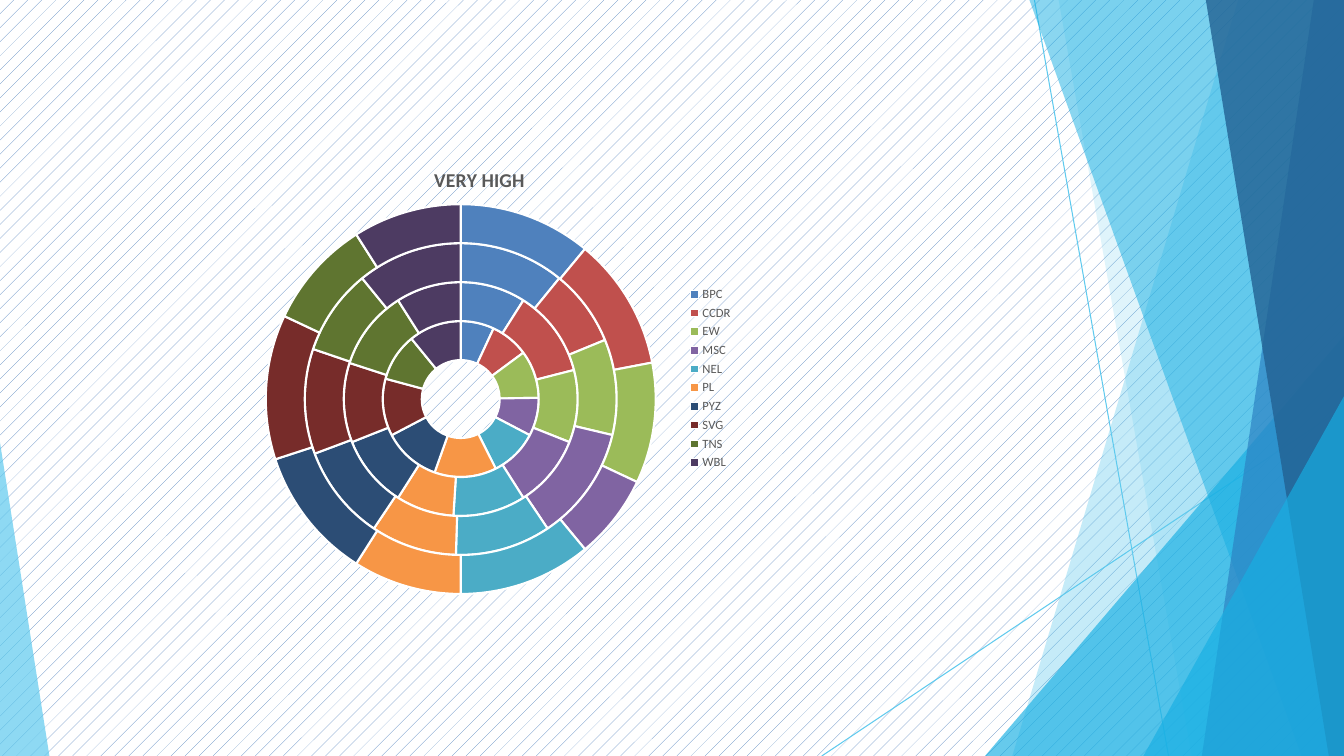
import pptx
import pptx.chart.data
import pptx.dml.color
import pptx.enum.chart
import pptx.enum.dml
import pptx.enum.shapes
import pptx.oxml
import pptx.oxml.ns
import pptx.util

Inches = pptx.util.Inches
WIDTH, HEIGHT = 13.33, 7.5
FONT = "Calibri"
COLORS = {
    "pattern": "4F81BD", "white": "FFFFFF", "text": "595959",
    "sky": "5FCAEE", "cyan": "17AFE3", "blue": "2D83C3", "navy": "226192",
}
# Legend entries and their colours
SECTORS = {
    "BPC": "4F81BD", "CCDR": "C0504D", "EW": "9BBB59", "MSC": "8064A2",
    "NEL": "4BACC6", "PL": "F79646", "PYZ": "2C4D75", "SVG": "772C2A",
    "TNS": "5F7530", "WBL": "4D3B62",
}
# Rings from the inside out
RINGS = [
    (7, 8, 10, 8, 10, 13, 12, 12, 10, 11),
    (9, 12, 10, 10, 10, 8, 10, 11, 11, 9),
    (11, 8, 10, 12, 10, 9, 10, 11, 9, 11),
    (11, 11, 10, 7, 11, 9, 11, 12, 9, 9),
]
# Right-hand facets: top x (or None), start y, bottom x, colour, opacity in percent
FACETS = [
    (12.28, 0, 10.04, "sky", 36),
    (10.5, 0, 11.82, "sky", 20),
    (None, 3.33, 9.77, "cyan", 66),
    (10.21, 0, 12.91, "cyan", 50),
    (13.03, 0, 11.92, "blue", 70),
    (11.96, 0, 13.18, "navy", 80),
    (None, 3.93, 11.34, "cyan", 66),
]


def rgb(value):
    return pptx.dml.color.RGBColor.from_string(value)


class SlideBuilder:
    def __init__(self, slide):
        self.slide = slide
        self.shapes = slide.shapes

    def background(self):
        fill = self.slide.background.fill
        fill.patterned()
        fill.pattern = pptx.enum.dml.MSO_PATTERN.PERCENT_5
        fill.fore_color.rgb = rgb(COLORS["pattern"])
        fill.back_color.rgb = rgb(COLORS["white"])

    def line(self, start, end, color):
        line = self.shapes.add_connector(
            pptx.enum.shapes.MSO_CONNECTOR.STRAIGHT,
            *(Inches(value) for value in start + end))
        line.line.color.rgb = rgb(COLORS[color])
        line.line.width = pptx.util.Pt(0.75)
        pptx.oxml.ns  # namespace helpers live here
        line._element.spPr.append(pptx.oxml.parse_xml(
            f'<a:effectLst {pptx.oxml.ns.nsdecls("a")}/>'))

    def facet(self, points, color, opacity):
        corners = [(Inches(x), Inches(y)) for x, y in points]
        builder = self.shapes.build_freeform(*corners[0])
        builder.add_line_segments(corners[1:], close=True)
        facet = builder.convert_to_shape()
        facet.shadow.inherit = False
        facet.line.fill.background()
        facet.fill.solid()
        facet.fill.fore_color.rgb = rgb(COLORS[color])
        shade = facet._element.spPr.find(".//" + pptx.oxml.ns.qn("a:srgbClr"))
        shade.append(pptx.oxml.parse_xml(
            f'<a:alpha {pptx.oxml.ns.nsdecls("a")} val="{opacity * 1000}"/>'))

    def layout(self, **settings):
        entries = "".join(f'<c:{name} val="{value}"/>' for name, value in settings.items())
        return pptx.oxml.parse_xml(
            f'<c:layout {pptx.oxml.ns.nsdecls("c")}>'
            f"<c:manualLayout>{entries}</c:manualLayout></c:layout>")

    def style(self, font, size, bold=False):
        font.name = FONT
        font.size = pptx.util.Pt(size)
        font.bold = bold
        font.color.rgb = rgb(COLORS["text"])

    def doughnut(self, left, top, width, height, title):
        qn = pptx.oxml.ns.qn
        data = pptx.chart.data.CategoryChartData()
        data.categories = list(SECTORS)
        for number, values in enumerate(RINGS, 1):
            data.add_series(f"Series {number}", values)
        chart = self.shapes.add_chart(
            pptx.enum.chart.XL_CHART_TYPE.DOUGHNUT,
            Inches(left), Inches(top), Inches(width), Inches(height), data).chart
        self.style(chart.font, 10)

        # Sector colours with white gaps
        plot = chart.plots[0]
        plot.has_data_labels = False
        for series in plot.series:
            for index, color in enumerate(SECTORS.values()):
                sector = series.points[index].format
                sector.fill.solid()
                sector.fill.fore_color.rgb = rgb(color)
                sector.line.color.rgb = rgb(COLORS["white"])
                sector.line.width = pptx.util.Pt(1.5)

        # Legend
        chart.has_legend = True
        chart.legend.position = pptx.enum.chart.XL_LEGEND_POSITION.RIGHT
        chart.legend.include_in_layout = False
        self.style(chart.legend.font, 9)

        # Title
        chart.has_title = True
        para = chart.chart_title.text_frame.paragraphs[0]
        para.text = title
        self.style(para.runs[0].font, 14, bold=True)
        chart_title = chart._chartSpace.find(".//" + qn("c:title"))
        for old in chart_title.findall(qn("c:layout")):
            chart_title.remove(old)
        chart_title.find(qn("c:tx")).addnext(
            self.layout(xMode="edge", yMode="edge", x=0.38, y=0.03))

        # Plot position and hole
        area = chart._chartSpace.find(".//" + qn("c:plotArea"))
        for old in area.findall(qn("c:layout")):
            area.remove(old)
        area.insert(0, self.layout(layoutTarget="inner", xMode="edge", yMode="edge",
                                   x=0.05, y=0.12, w=0.78, h=0.85))
        area.find(".//" + qn("c:holeSize")).set("val", "75")


def main():
    deck = pptx.Presentation()
    deck.slide_width, deck.slide_height = Inches(WIDTH), Inches(HEIGHT)
    page = SlideBuilder(deck.slides.add_slide(deck.slide_layouts[6]))
    page.background()

    # Thin lines
    page.line((10.26, 0), (11.59, HEIGHT), "sky")
    page.line((WIDTH, 4.04), (8.15, HEIGHT), "sky")

    # Facets on the right, then the one on the left
    for top_x, start_y, bottom_x, color, opacity in FACETS:
        points = [(WIDTH, start_y), (bottom_x, HEIGHT), (WIDTH, HEIGHT)]
        if top_x is not None:
            points.insert(1, (top_x, start_y))
        page.facet(points, color, opacity)
    page.facet([(0, 4.39), (0, HEIGHT), (0.49, HEIGHT)], "sky", 70)

    # Ring chart
    page.doughnut(2.37, 1.48, 5, 4.55, "VERY HIGH")
    deck.save("out.pptx")


if __name__ == "__main__":
    main()
